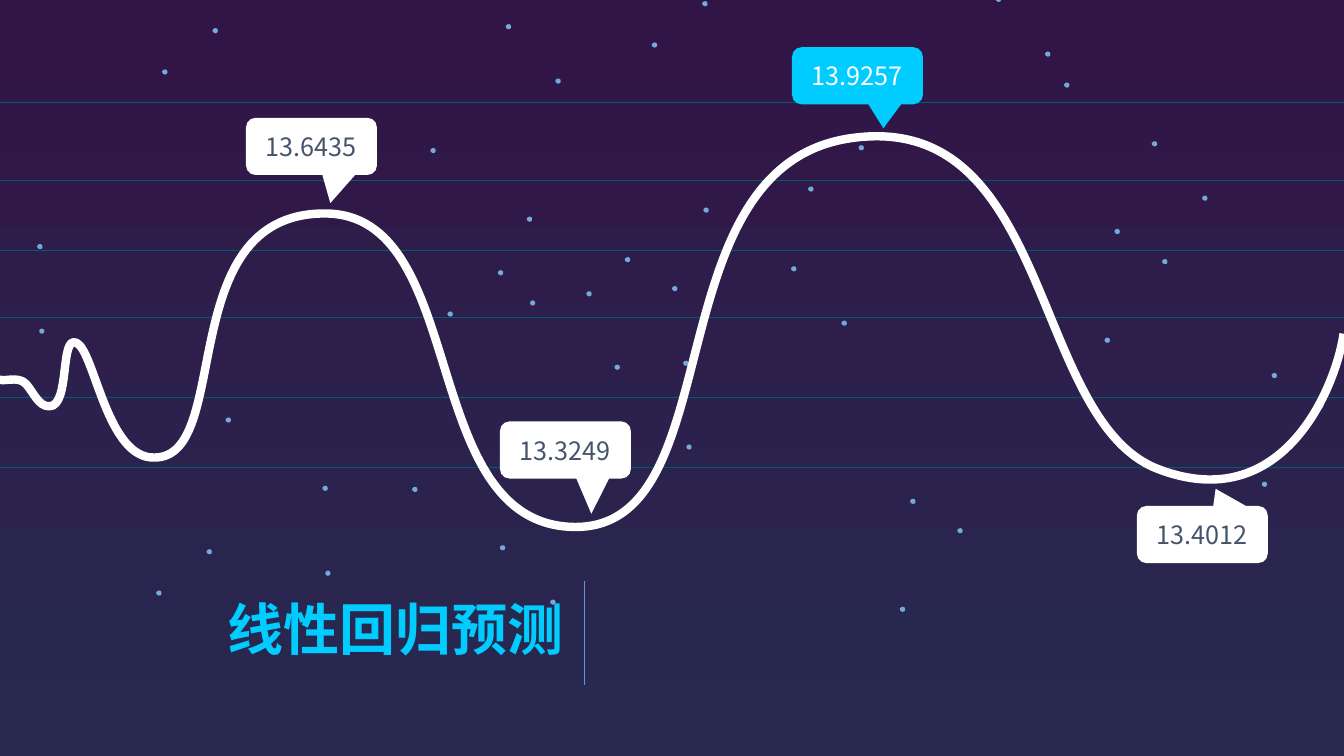
from lxml.etree import SubElement
from pptx import Presentation
from pptx.dml.color import RGBColor
from pptx.enum.shapes import MSO_CONNECTOR, MSO_SHAPE
from pptx.enum.text import MSO_ANCHOR, MSO_AUTO_SIZE, PP_ALIGN
from pptx.oxml import parse_xml
from pptx.oxml.ns import nsdecls, qn
from pptx.util import Cm, Pt

NIGHT = RGBColor(0x32, 0x15, 0x47)
NAVY = RGBColor(0x27, 0x29, 0x50)
STAR = RGBColor(0x73, 0xA9, 0xDB)
TEAL = RGBColor(0x00, 0x5B, 0x70)
CYAN = RGBColor(0x00, 0xCC, 0xFF)
BLUE = RGBColor(0x5B, 0x9B, 0xD5)
SLATE = RGBColor(0x44, 0x54, 0x6A)
WHITE = RGBColor(0xFF, 0xFF, 0xFF)
FONT = "Noto Sans CJK SC"

STARS = [
    (29.03, 3.56), (20.37, 4.7), (21.64, 3.66), (14.78, 7.34), (17.22, 9.09),
    (26.82, 2.08), (30.3, 4.93), (33.22, 10.16), (32.05, 9.4), (31.8, 12.14),
    (19.94, 6.71), (11.28, 7.85), (12.55, 6.81), (5.69, 10.52), (8.13, 12.24),
    (17.73, 5.23), (21.21, 8.08), (24.13, 13.31), (22.94, 12.57), (22.68, 15.29),
    (12.75, 0.61), (4.09, 1.75), (5.36, 0.71), (0.94, 6.15), (14, 1.98),
    (16.94, 7.21), (15.75, 6.48), (15.49, 9.19), (25.1, -0.08), (16.43, 1.07),
    (17.7, 0.03), (10.85, 3.73), (13.28, 5.46), (26.34, 1.3), (29.29, 6.53),
    (28.09, 5.77), (27.84, 8.51), (12.6, 13.74), (3.94, 14.88), (5.21, 13.84),
    (10.39, 12.27), (13.87, 15.11),
]
DISCS = [(17.3, 11.2), (8.2, 14.38), (0.99, 8.28), (13.36, 7.57)]
RULES = [2.57, 4.55, 6.3, 8, 10.01, 11.76]
BLOB = [
    (4, 0), (8, 0), (12, 0), (13, 4), (14, 8), (12, 11), (8, 13),
    (4, 14), (1, 13), (0, 8), (0, 4), (1, 1), (4, 0),
]
WAVE = [
    (-3, 955), (5, 965), (46, 945), (66, 968), (84, 988), (97, 1024), (124, 1024),
    (178, 1024), (150, 843), (193, 864), (239, 886), (269, 1156), (389, 1153),
    (589, 1153), (434, 544), (813, 538), (1189, 531), (1046, 1323), (1448, 1328),
    (1849, 1331), (1641, 419), (2146, 348), (2654, 277), (2596, 1054), (2916, 1181),
    (3236, 1306), (3368, 970), (3386, 841),
]
LABELS = [
    ("13.9257", 19.96, 1.19, 0.198, 0.92, CYAN, WHITE),
    ("13.4012", 28.65, 12.75, 0.102, -0.8, WHITE, SLATE),
    ("13.6435", 6.2, 2.97, 0.144, 0.993, WHITE, SLATE),
    ("13.3249", 12.6, 10.62, 0.198, 1.116, WHITE, SLATE),
]


def write(frame, text, size=18, color=WHITE, bold=False):
    part = frame.paragraphs[0]
    part.alignment = PP_ALIGN.CENTER
    run = part.add_run()
    run.text = text
    font = run.font
    font.name, font.size, font.bold = FONT, Pt(size), bold
    font.color.rgb = color
    SubElement(font._element, qn("a:ea"), typeface=FONT)


class Board:
    """Draws styled elements on one slide."""

    def __init__(self, slide):
        self.slide = slide
        self.shapes = slide.shapes

    def ground(self, top, base):
        fill = self.slide.background.fill
        fill.gradient()
        fill.gradient_angle = 270
        for stop, color, place in zip(fill.gradient_stops, (top, base), (0, 1)):
            stop.color.rgb = color
            stop.position = place

    def paint(self, shape, color):
        shape.shadow.inherit = False
        shape.fill.solid()
        shape.fill.fore_color.rgb = color
        shape.line.fill.background()

    def curve(self, points, closed=False):
        pen = self.shapes.build_freeform(*points[0], scale=Cm(0.01))
        pen.add_line_segments(points[3::3], close=closed)
        shape = pen.convert_to_shape()
        left = min(x for x, y in points[::3])
        top = min(y for x, y in points[::3])
        for i, step in enumerate(list(shape._element.iter(qn("a:lnTo")))):
            bend = parse_xml(f"<a:cubicBezTo {nsdecls('a')}/>")
            for x, y in points[3 * i + 1:3 * i + 4]:
                SubElement(bend, qn("a:pt"), x=str(x - left), y=str(y - top))
            step.getparent().replace(step, bend)
        return shape

    def star(self, x, y):
        dx, dy = round(x * 100), round(y * 100)
        shape = self.curve([(a + dx, b + dy) for a, b in BLOB], closed=True)
        shape.rotation = 71.4
        self.paint(shape, STAR)

    def disc(self, x, y):
        shape = self.shapes.add_shape(MSO_SHAPE.OVAL, Cm(x), Cm(y), Cm(0.13), Cm(0.13))
        self.paint(shape, STAR)

    def wave(self, points):
        shape = self.curve(points)
        shape.shadow.inherit = False
        shape.fill.background()
        shape.line.color.rgb = WHITE
        shape.line.width = Pt(6)

    def rule(self, x1, y1, x2, y2, color, width):
        line = self.shapes.add_connector(
            MSO_CONNECTOR.STRAIGHT, Cm(x1), Cm(y1), Cm(x2), Cm(y2))
        line.line.color.rgb = color
        line.line.width = Pt(width)
        SubElement(line._element.spPr, qn("a:effectLst"))

    def label(self, text, x, y, tip_x, tip_y, fill, color):
        shape = self.shapes.add_shape(
            MSO_SHAPE.ROUNDED_RECTANGULAR_CALLOUT, Cm(x), Cm(y), Cm(3.3), Cm(1.44))
        for i, value in enumerate((tip_x, tip_y, 0.167)):
            shape.adjustments[i] = value
        self.paint(shape, fill)
        shape.text_frame.vertical_anchor = MSO_ANCHOR.MIDDLE
        write(shape.text_frame, text, color=color)

    def title(self, text, x, y, width, height):
        frame = self.shapes.add_textbox(Cm(x), Cm(y), Cm(width), Cm(height)).text_frame
        frame.word_wrap = False
        frame.auto_size = MSO_AUTO_SIZE.SHAPE_TO_FIT_TEXT
        write(frame, text, size=40, color=CYAN, bold=True)


def main():
    deck = Presentation()
    deck.slide_width, deck.slide_height = Cm(33.87), Cm(19.05)
    board = Board(deck.slides.add_slide(deck.slide_layouts[6]))
    board.ground(NIGHT, NAVY)
    for spot in STARS:
        board.star(*spot)
    for spot in DISCS:
        board.disc(*spot)
    for y in RULES:
        board.rule(-2.44, y, 36.3, y, TEAL, 0.1)
    board.title("线性回归预测", 5.44, 14.86, 9.07, 1.96)
    board.rule(14.73, 14.63, 14.73, 17.27, BLUE, 0.5)
    board.wave(WAVE)
    for label in LABELS:
        board.label(*label)
    deck.save("out.pptx")


if __name__ == "__main__":
    main()
